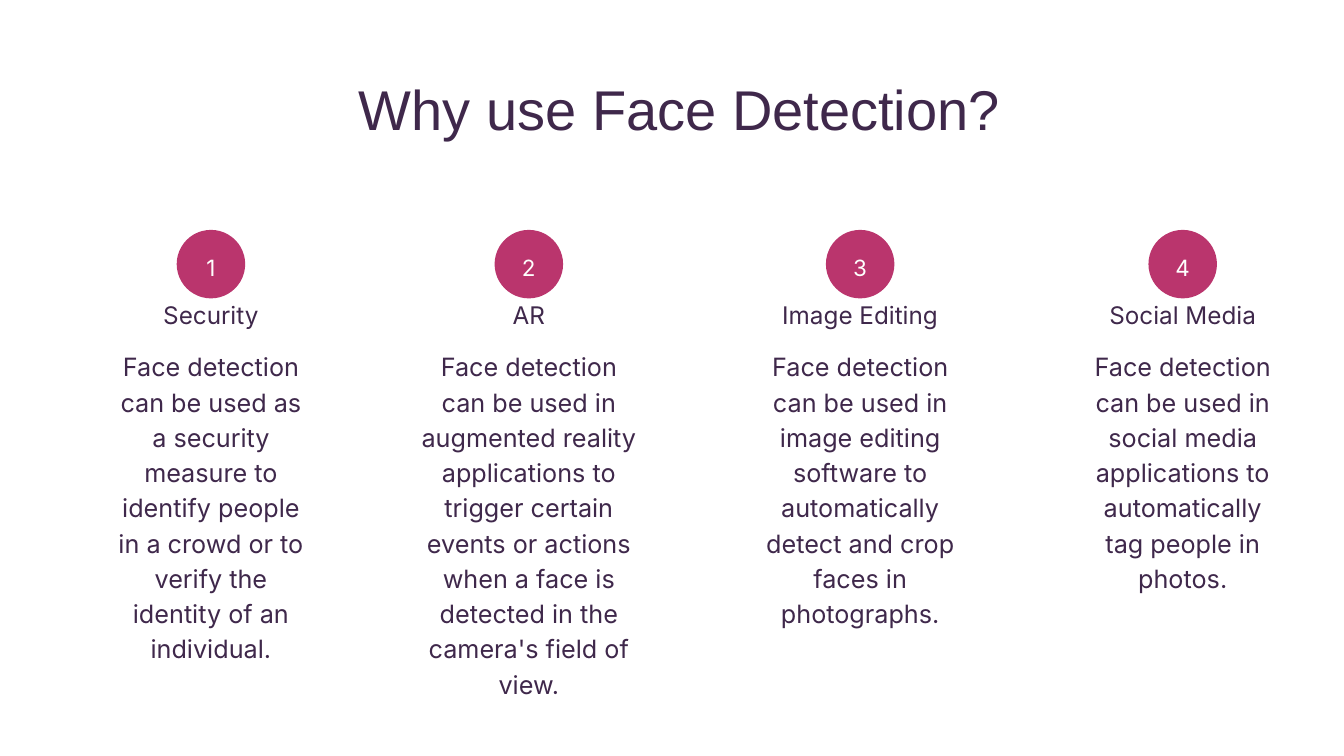
from pptx import Presentation
from pptx.dml.color import RGBColor
from pptx.enum.shapes import MSO_SHAPE
from pptx.enum.text import MSO_ANCHOR, MSO_AUTO_SIZE, PP_ALIGN
from pptx.util import Pt

OVAL = MSO_SHAPE.OVAL
TOP = MSO_ANCHOR.TOP
FIXED = MSO_AUTO_SIZE.NONE
CENTER = PP_ALIGN.CENTER

PLUM = "3F284B"
PINK = "BA356D"
WHITE = "FEFFFD"


def color(code):
    return RGBColor.from_string(code)


def write(shape, text, size, lead, font, ink):
    """Fill a shape with one centred paragraph on a fixed line pitch."""
    frame = shape.text_frame
    frame.word_wrap = True
    frame.auto_size = FIXED
    frame.vertical_anchor = TOP
    frame.margin_left = frame.margin_right = 0
    frame.margin_top = frame.margin_bottom = 0
    para = frame.paragraphs[0]
    para.alignment = CENTER
    para.line_spacing = Pt(lead)
    para.space_before = Pt(0)
    run = para.add_run()
    run.text = text
    run.font.size = Pt(size)
    run.font.name = font
    run.font.color.rgb = color(ink)


deck = Presentation()
deck.slide_width, deck.slide_height = Pt(1440), Pt(810)
slide = deck.slides.add_slide(deck.slide_layouts[5])
shapes = slide.shapes

# Title
title = shapes.title
title.left, title.top = Pt(113.8), Pt(79.9)
title.width, title.height = Pt(1228.3), Pt(72.7)
write(title, "Why use Face Detection?", 60, 72, "Arial", PLUM)

# Uses: centre of column, width of body, lines of body, heading, body
uses = [
    (226, 208.8, 9, "Security",
     "Face detection can be used as a security measure to identify people "
     "in a crowd or to verify the identity of an individual."),
    (566.6, 236.2, 10, "AR",
     "Face detection can be used in augmented reality applications to "
     "trigger certain events or actions when a face is detected in the "
     "camera's field of view."),
    (921.6, 221.8, 8, "Image Editing",
     "Face detection can be used in image editing software to "
     "automatically detect and crop faces in photographs."),
    (1267.2, 217.4, 7, "Social Media",
     "Face detection can be used in social media applications to "
     "automatically tag people in photos."),
]
DISC = 73.4

for num, (mid, wide, lines, head, body) in enumerate(uses, 1):
    # Disc behind the number
    disc = shapes.add_shape(OVAL, Pt(mid - DISC / 2), Pt(246.3), Pt(DISC), Pt(DISC))
    disc.shadow.inherit = False
    disc.fill.solid()
    disc.fill.fore_color.rgb = color(PINK)
    disc.line.fill.background()

    # Number, heading and body
    for text, top, width, height, size, lead, ink in (
        (str(num), 267, 48.2, 32.4, 24, 33.6, WHITE),
        (head, 316.1, 193.7, 34.6, 26, 36.4, PLUM),
        (body, 371.4, wide, lines * 37.4, 27, 37.8, PLUM),
    ):
        box = shapes.add_textbox(Pt(mid - width / 2), Pt(top), Pt(width), Pt(height))
        write(box, text, size, lead, "Inter", ink)

deck.save("out.pptx")
